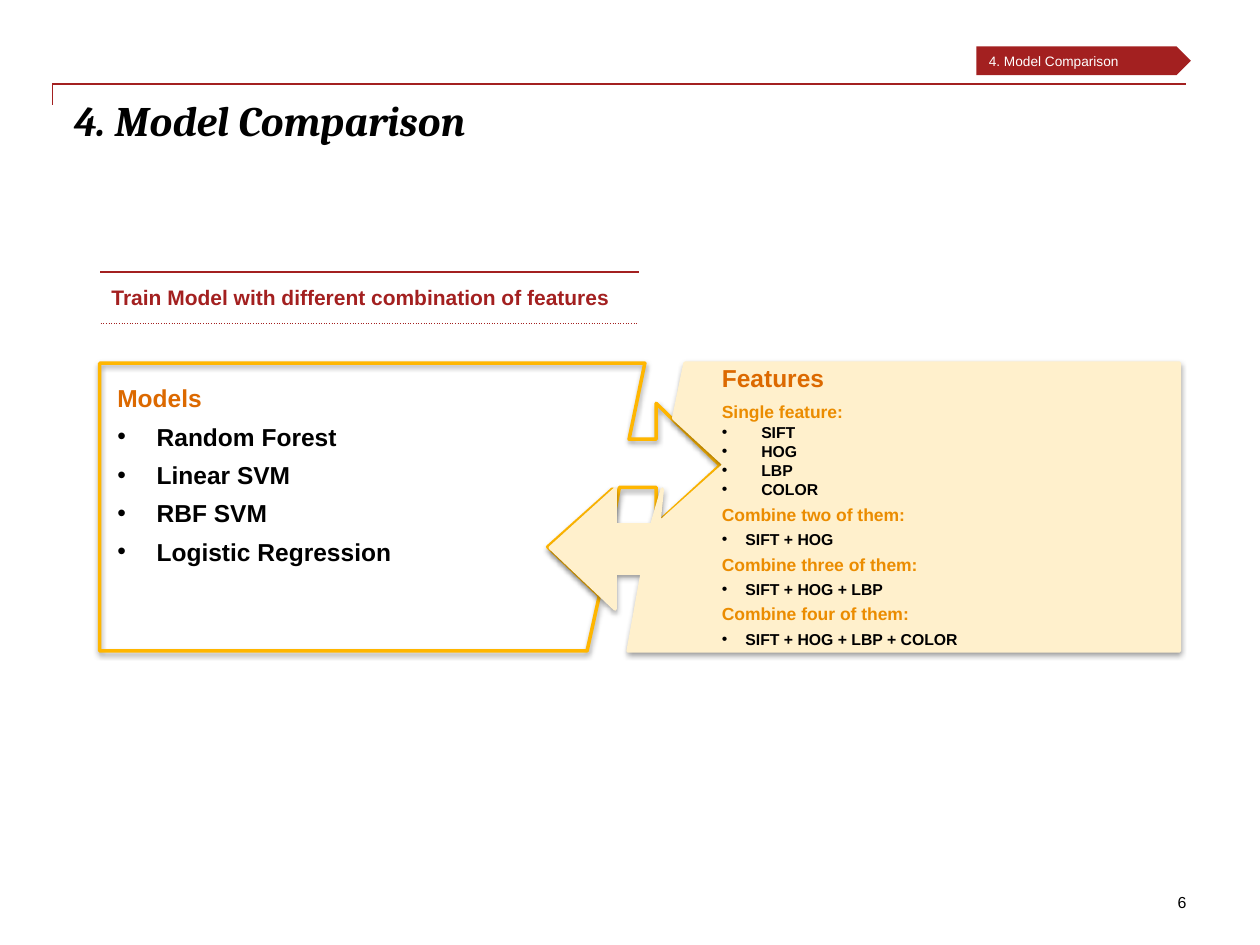
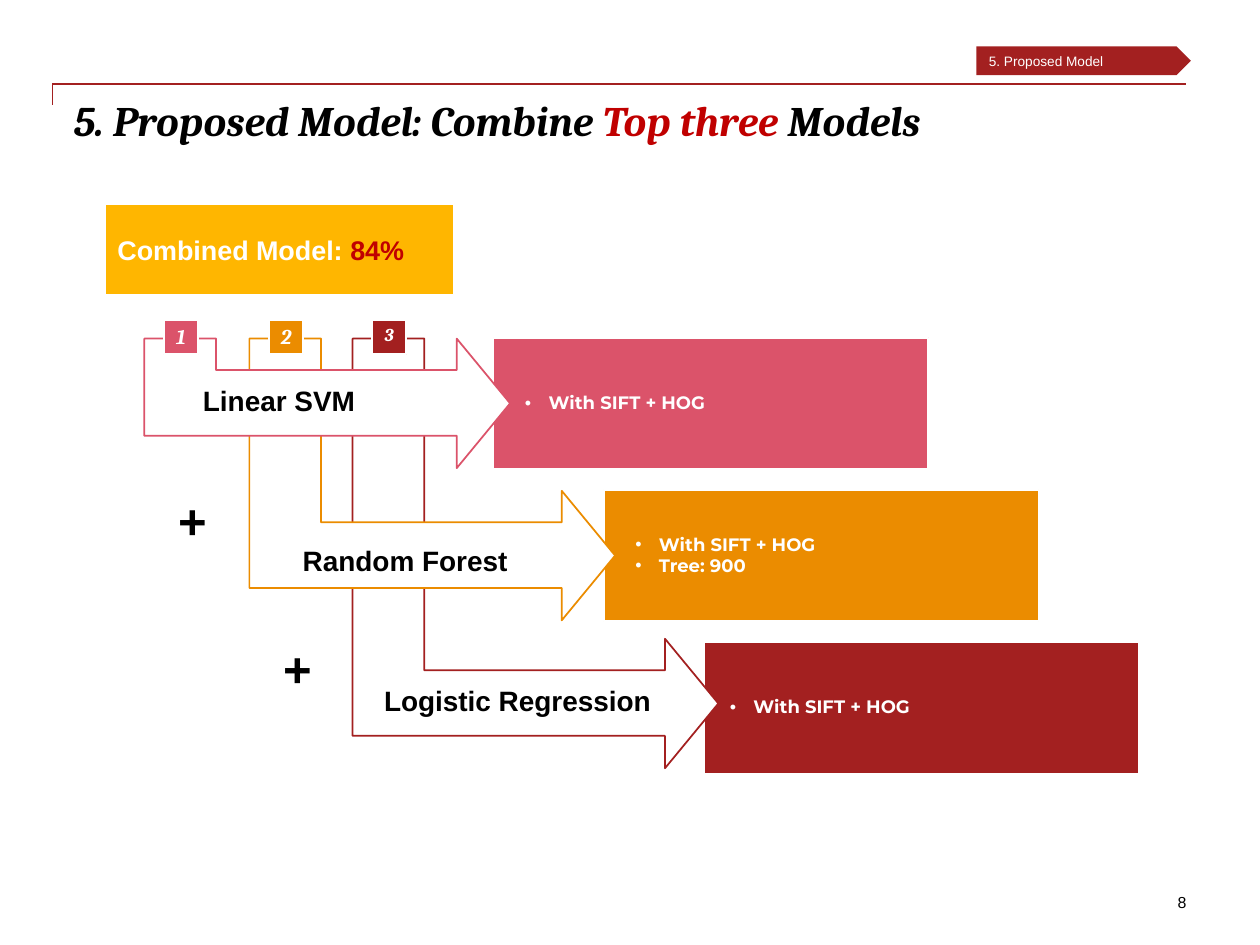
from lxml.etree import SubElement
from pptx import Presentation
from pptx.dml.color import RGBColor
from pptx.enum.shapes import MSO_CONNECTOR as Connector, MSO_SHAPE as Preset
from pptx.enum.text import MSO_ANCHOR as Anchor, MSO_AUTO_SIZE as AutoSize, PP_ALIGN as Align
from pptx.oxml.ns import qn
from pptx.util import Pt

RED, ORANGE, PINK, YELLOW = "A32020", "EB8C00", "DB536A", "FFB600"
CREAM, RUST, ACCENT = "FFF0CC", "DC6900", "C00000"
BLACK, WHITE = "000000", "FFFFFF"
TWO_LISTS, TITLE_ONLY = 3, 5


def color_of(value):
    """Turn a hex string into a colour."""
    return RGBColor.from_string(value)


def write(frame, text, size=14, color=BLACK, font="Arial", bold=True, italic=False,
          align=Align.LEFT, after=0, spacing=1.0, indent=0):
    """Write one paragraph; text is a string or a list of (text, colour) runs."""
    paragraph = frame.paragraphs[0]
    if paragraph.runs:
        paragraph = frame.add_paragraph()
    paragraph.alignment = align
    paragraph.line_spacing = spacing
    paragraph.space_before, paragraph.space_after = Pt(0), Pt(after)
    properties = paragraph._p.get_or_add_pPr()
    properties.set("marL", str(Pt(indent)))
    properties.set("indent", str(-Pt(indent)))
    if indent:
        SubElement(properties, qn("a:buFont"), typeface="Arial")
        SubElement(properties, qn("a:buChar"), char="•")
    else:
        SubElement(properties, qn("a:buNone"))
    for words, run_color in [(text, color)] if isinstance(text, str) else text:
        run = paragraph.add_run()
        run.text = words
        run.font.name, run.font.size = font, Pt(size)
        run.font.bold, run.font.italic = bold, italic
        run.font.color.rgb = color_of(run_color)


def frame_setup(frame, anchor=Anchor.TOP, insets=(0, 0, 0, 0), wrap=True):
    """Set the layout of a text frame and return it."""
    frame.word_wrap, frame.auto_size = wrap, AutoSize.NONE
    frame.vertical_anchor = anchor
    (frame.margin_left, frame.margin_top,
     frame.margin_right, frame.margin_bottom) = map(Pt, insets)
    return frame


class Deck:
    """Holds the presentation style and the current slide."""

    def __init__(self):
        """Start an empty presentation."""
        self.presentation = Presentation()
        self.presentation.slide_width, self.presentation.slide_height = Pt(720), Pt(540)
        self.slide = None

    def new_slide(self, layout, section, title, number):
        """Add a slide with its rule, title, section tag and number."""
        self.slide = self.presentation.slides.add_slide(
            self.presentation.slide_layouts[layout])
        self.line(30, 48, 678, 48)
        self.line(30, 48, 30, 60)
        write(self.placeholder(0, 42, 54, 644, 42), title,
              size=24, font="Cambria", italic=True)
        tag = self.box(558, 26.5, 122.5, 16.5, RED, preset=Preset.PENTAGON)
        write(tag, section, size=7.8, color=WHITE, bold=False)
        write(self.text(558, 510, 120, 12), str(number), size=9.1, bold=False,
              align=Align.RIGHT)

    def line(self, left, top, right, bottom):
        """Draw a thin straight line."""
        line = self.slide.shapes.add_connector(
            Connector.STRAIGHT, *map(Pt, (left, top, right, bottom)))
        line.line.color.rgb, line.line.width = color_of(RED), Pt(1)
        SubElement(line._element.spPr, qn("a:effectLst"))

    def placeholder(self, index, left, top, width, height):
        """Move a placeholder to the front and return its text frame."""
        shape = self.slide.placeholders[index]
        shape.left, shape.top, shape.width, shape.height = map(
            Pt, (left, top, width, height))
        self.slide.shapes._spTree.append(shape._element)
        return frame_setup(shape.text_frame)

    def text(self, left, top, width, height, anchor=Anchor.TOP):
        """Add a text box and return its text frame."""
        shape = self.slide.shapes.add_textbox(*map(Pt, (left, top, width, height)))
        return frame_setup(shape.text_frame, anchor)

    def paint(self, shape, fill=None, outline=None, weight=1):
        """Set fill and outline of a shape and clear its shadow."""
        shape.shadow.inherit = False
        if fill:
            shape.fill.solid()
            shape.fill.fore_color.rgb = color_of(fill)
        else:
            shape.fill.background()
        if outline:
            shape.line.color.rgb, shape.line.width = color_of(outline), Pt(weight)
        else:
            shape.line.fill.background()

    def box(self, left, top, width, height, fill, outline=None, preset=Preset.RECTANGLE,
            insets=(7.2, 3.6, 7.2, 3.6), wrap=True):
        """Add a filled preset shape and return its text frame."""
        shape = self.slide.shapes.add_shape(preset, *map(Pt, (left, top, width, height)))
        self.paint(shape, fill, outline)
        return frame_setup(shape.text_frame, Anchor.MIDDLE, insets, wrap)

    def outline(self, points, fill, outline, weight=1, shadow=False):
        """Draw a closed polygon through the points."""
        corners = [(Pt(x), Pt(y)) for x, y in points]
        builder = self.slide.shapes.build_freeform(*corners[0])
        builder.add_line_segments(corners[1:], close=True)
        shape = builder.convert_to_shape()
        self.paint(shape, fill, outline, weight)
        if shadow:
            effects = shape._element.spPr.find(qn("a:effectLst"))
            outer = SubElement(effects, qn("a:outerShdw"), blurRad=str(Pt(3.1)),
                               dist=str(Pt(1.6)), dir="5400000", rotWithShape="0")
            tone = SubElement(outer, qn("a:srgbClr"), val=BLACK)
            SubElement(tone, qn("a:alpha"), val="38000")

    def heading_table(self, left, top, width, height, text):
        """Add a one-cell table ruled above and below."""
        table = self.slide.shapes.add_table(
            1, 1, *map(Pt, (left, top, width, height))).table
        table.first_row = table.horz_banding = False
        cell = table.cell(0, 0)
        cell.vertical_anchor = Anchor.MIDDLE
        write(cell.text_frame, text, size=12, color=RED)
        properties = cell._tc.get_or_add_tcPr()
        for side, dash in (("a:lnT", "solid"), ("a:lnB", "sysDot")):
            border = SubElement(properties, qn(side), w=str(Pt(1)))
            SubElement(SubElement(border, qn("a:solidFill")), qn("a:srgbClr"), val=RED)
            SubElement(border, qn("a:prstDash"), val=dash)
        cell.fill.background()


def comparison_slide(deck):
    """Build the slide that pairs models with features."""
    deck.new_slide(TWO_LISTS, "4. Model Comparison", "4. Model Comparison", 6)
    models_outline = [
        (335.5, 372), (57, 372), (57, 207.5), (368.5, 207.5), (359.5, 251), (375, 251),
        (375, 230.5), (411.5, 266), (375, 299.5), (375, 278.5), (354, 278.5),
        (350, 299.5), (350, 279.5), (313, 312.5), (342.5, 340.5)]
    features_outline = [
        (391.5, 207.5), (674, 207.5), (674, 372), (359, 372), (367, 327.5),
        (351.5, 327.5), (351.5, 348), (314.5, 313), (351.5, 279.5), (351.5, 300),
        (372.5, 300), (378.5, 279.5), (376.5, 299), (414, 265.5), (385, 239)]
    deck.outline(models_outline, None, YELLOW, 2, shadow=True)
    deck.outline(features_outline, CREAM, CREAM, 2, shadow=True)

    models = deck.placeholder(1, 67, 219, 247, 136)
    write(models, "Models", color=RUST, after=5.1)
    for model in ("Random Forest", "Linear SVM", "RBF SVM", "Logistic Regression"):
        write(models, model, after=5.1, indent=22.5)

    features = deck.placeholder(2, 412.5, 207.5, 252, 136)
    write(features, "Features", color=RUST, after=5.1)
    write(features, "Single feature:", size=10, color=ORANGE, after=5.1)
    names = ("SIFT", "HOG", "LBP", "COLOR")
    for name in names:
        write(features, name, size=9, after=5.1, spacing=Pt(5.8), indent=22.5)
    for count, word in enumerate(("two", "three", "four"), 2):
        write(features, f"Combine {word} of them:", size=10, color=ORANGE,
              after=5.1, spacing=0.8)
        write(features, " + ".join(names[:count]), size=9, after=5.1,
              spacing=0.8, indent=13.5)
    deck.heading_table(56.5, 155.5, 309, 29.5,
                       "Train Model with different combination of features")


def proposed_slide(deck):
    """Build the slide that combines three models in a cascade."""
    title = [("5. Proposed Model: Combine ", BLACK), ("Top three ", ACCENT),
             ("Models", BLACK)]
    deck.new_slide(TITLE_ONLY, "5. Proposed Model", title, 8)
    colors = (PINK, ORANGE, RED)
    arrow_lefts, head_tops = (82.5, 142.5, 201.5), (193.5, 280.5, 365)
    panel_lefts = (282, 345, 402.5)
    panel_tops = [193 + 87 * step for step in range(3)]

    for left, top, color in zip(panel_lefts, panel_tops, colors):
        deck.box(left, top, 248.5, 75, color, WHITE)
    for left, top, color in reversed(list(zip(arrow_lefts, head_tops, colors))):
        neck, head, tip = left + 41, left + 178.5, left + 209
        deck.outline([(left, 193.5), (neck, 193.5), (neck, top + 18), (head, top + 18),
                      (head, top), (tip, top + 37), (head, top + 74),
                      (head, top + 55.5), (left, top + 55.5)], WHITE, color)
    badges = zip(arrow_lefts, colors, (12, 12, 10.3), (2, 2, 0))
    for number, (left, color, size, inset) in enumerate(badges, 1):
        badge = deck.box(left + 11.25, 183, 19.5, 19.5, color, WHITE,
                         insets=(7.2, inset, 7.2, 3.6), wrap=False)
        write(badge, str(number), size=size, color=WHITE, font="Cambria",
              italic=True, align=Align.CENTER)

    notes = (["With SIFT + HOG"], ["With SIFT + HOG", "Tree: 900"], ["With SIFT + HOG"])
    for left, top, lines in zip((300, 363, 417), panel_tops, notes):
        note = deck.text(left, top, 220, 75, Anchor.MIDDLE)
        for words in lines:
            write(note, words, size=10.3, color=WHITE, font="Montserrat",
                  spacing=0.95, indent=13.5)
    labels = (("Linear SVM", 116, 219, 142), ("Random Forest", 173, 310.5, 142),
              ("Logistic Regression", 219.5, 390.5, 185))
    for label, left, top, width in labels:
        write(deck.text(left, top, width, 27), label, size=16)
    for left, top in zip(arrow_lefts, head_tops[1:]):
        write(deck.text(left + 19.25, top, 28, 27), "+", size=28)
    write(deck.box(60, 116.5, 199.5, 52, YELLOW, WHITE),
          [("Combined Model: ", WHITE), ("84%", ACCENT)], size=15.4)


def main():
    """Build and save the slides."""
    deck = Deck()
    comparison_slide(deck)
    proposed_slide(deck)
    deck.presentation.save("out.pptx")


if __name__ == "__main__":
    main()
